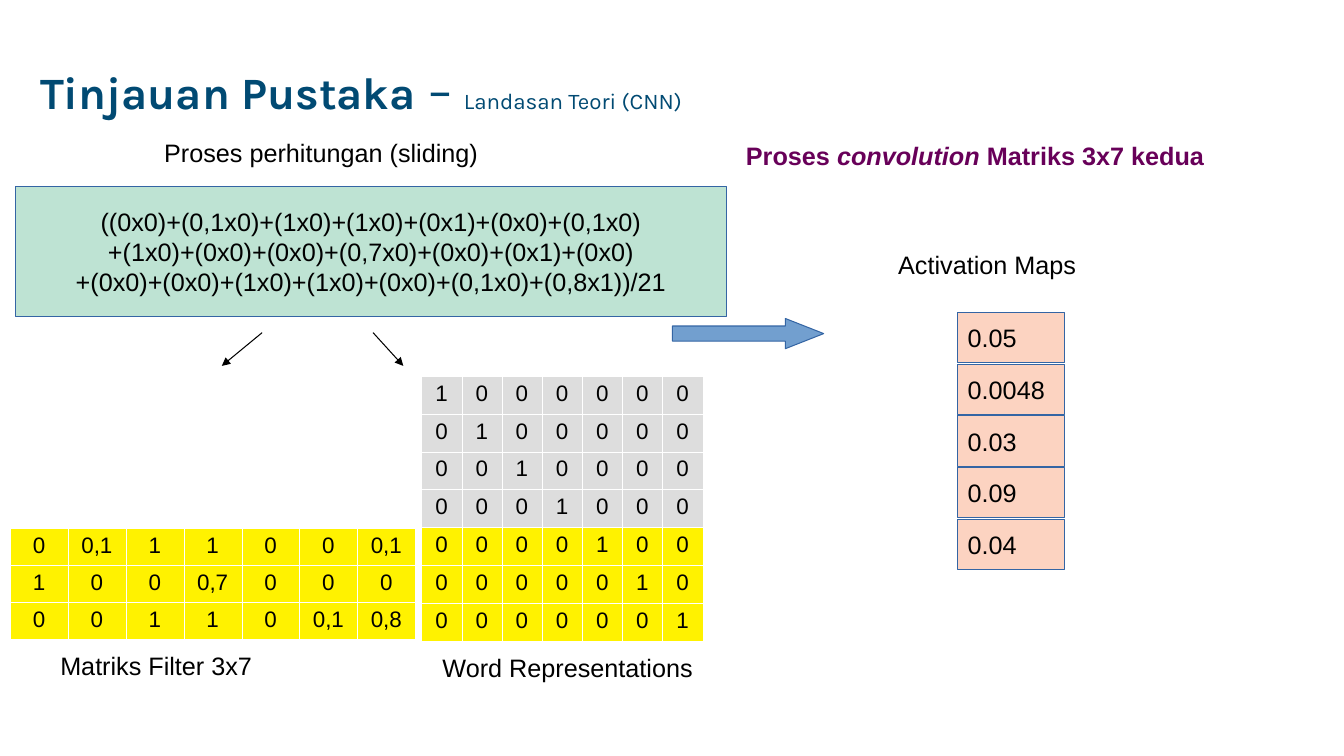
"""Build the slide on the second 3x7 convolution step of a CNN."""
from dataclasses import dataclass
from typing import Optional

from lxml.etree import SubElement
from pptx import Presentation
from pptx.dml.color import RGBColor
from pptx.enum.shapes import MSO_CONNECTOR as Connector, MSO_SHAPE as Preset
from pptx.enum.text import MSO_ANCHOR as Anchor, PP_ALIGN as Align
from pptx.oxml.ns import qn
from pptx.util import Inches, Pt

COLORS = {
    "title": "014A73", "heading": "680059", "black": "000000", "white": "FFFFFF",
    "gray": "DDDDDD", "yellow": "FFF200", "mint": "BEE3D3", "peach": "FCD3C1",
    "arrow": "729FCF", "outline": "3465A4",
}


@dataclass
class TextRun:
    text: str
    size: Optional[float] = None
    bold: Optional[bool] = None
    italic: Optional[bool] = None


@dataclass
class Label:
    runs: list[TextRun]
    left: float
    top: float
    width: float
    height: float = 0.38
    font: str = "Arial"
    color: str = "black"
    anchor: Anchor = Anchor.TOP
    line_spacing: Optional[float] = None


@dataclass
class Box:
    lines: list[str]
    left: float
    top: float
    width: float
    height: float
    fill: str
    preset: Preset = Preset.RECTANGLE
    align: Align = Align.LEFT


@dataclass
class Matrix:
    rows: list[list[str]]
    left: float
    top: float
    width: float
    height: float
    gray_rows: int = 0


@dataclass
class Pointer:
    start: tuple[float, float]
    end: tuple[float, float]


def rgb(name: str) -> RGBColor:
    return RGBColor.from_string(COLORS[name])


def style_paragraph(paragraph, size: float, font: str = "Arial", color: str = "black",
                    align: Align = Align.LEFT) -> None:
    paragraph.alignment = align
    paragraph.font.size = Pt(size)
    paragraph.font.name = font
    paragraph.font.color.rgb = rgb(color)


def draw_label(slide, label: Label) -> None:
    shape = slide.shapes.add_textbox(*map(Inches, (label.left, label.top, label.width, label.height)))
    frame = shape.text_frame
    frame.word_wrap = True
    frame.vertical_anchor = label.anchor
    paragraph = frame.paragraphs[0]
    style_paragraph(paragraph, 18, label.font, label.color)
    if label.line_spacing:
        paragraph.line_spacing = label.line_spacing
    for item in label.runs:
        run = paragraph.add_run()
        run.text = item.text
        run.font.bold = item.bold
        run.font.italic = item.italic
        if item.size:
            run.font.size = Pt(item.size)


def draw_box(slide, box: Box):
    shape = slide.shapes.add_shape(box.preset, *map(Inches, (box.left, box.top, box.width, box.height)))
    shape.shadow.inherit = False
    shape.fill.solid()
    shape.fill.fore_color.rgb = rgb(box.fill)
    shape.line.color.rgb = rgb("outline")
    shape.line.width = Pt(0.75)
    frame = shape.text_frame
    frame.word_wrap = True
    frame.vertical_anchor = Anchor.MIDDLE
    for index, line in enumerate(box.lines):
        paragraph = frame.add_paragraph() if index else frame.paragraphs[0]
        paragraph.text = line
        style_paragraph(paragraph, 18, align=box.align)
    return shape


def draw_matrix(slide, matrix: Matrix) -> None:
    row_count, column_count = len(matrix.rows), len(matrix.rows[0])
    position = map(Inches, (matrix.left, matrix.top, matrix.width, matrix.height))
    table = slide.shapes.add_table(row_count, column_count, *position).table
    table.first_row = table.horz_banding = False
    for row_index, values in enumerate(matrix.rows):
        for column_index, value in enumerate(values):
            cell = table.cell(row_index, column_index)
            cell.text = value
            style_paragraph(cell.text_frame.paragraphs[0], 16, align=Align.CENTER)
            properties = cell._tc.get_or_add_tcPr()
            for side in ("lnL", "lnR", "lnT", "lnB"):
                border = SubElement(properties, qn(f"a:{side}"), w=str(Pt(0.06)))
                border_fill = SubElement(border, qn("a:solidFill"))
                SubElement(border_fill, qn("a:srgbClr"), val=COLORS["white"])
            cell.fill.solid()
            cell.fill.fore_color.rgb = rgb("gray" if row_index < matrix.gray_rows else "yellow")


def draw_pointer(slide, pointer: Pointer) -> None:
    connector = slide.shapes.add_connector(
        Connector.STRAIGHT, *map(Inches, (*pointer.start, *pointer.end)))
    connector.line.color.rgb = rgb("black")
    connector.line.width = Pt(0.75)
    SubElement(connector.line._get_or_add_ln(), qn("a:tailEnd"), type="triangle")
    SubElement(connector._element.spPr, qn("a:effectLst"))


LABELS = [
    Label([TextRun("Tinjauan Pustaka", 32, True), TextRun(" – ", 36), TextRun("Landasan Teori (CNN)", 16)],
          0.3, 0.2, 7.5, 1.45, "Karla", "title", Anchor.MIDDLE, 0.9),
    Label([TextRun("Matriks Filter 3x7")], 0.5, 6.4, 2.4),
    Label([TextRun("Word Representations")], 4.29, 6.42, 3.21),
    Label([TextRun("Proses perhitungan (sliding)")], 1.53, 1.31, 3.95),
    Label([TextRun("Activation Maps")], 8.81, 2.42, 2.19),
    Label([TextRun("Proses ", bold=True), TextRun("convolution", bold=True, italic=True),
           TextRun(" Matriks 3x7 kedua", bold=True)], 7.3, 1.34, 5.69, 0.66, color="heading"),
]
FORMULA = Box([
    "((0x0)+(0,1x0)+(1x0)+(1x0)+(0x1)+(0x0)+(0,1x0)",
    "+(1x0)+(0x0)+(0x0)+(0,7x0)+(0x0)+(0x1)+(0x0)",
    "+(0x0)+(0x0)+(1x0)+(1x0)+(0x0)+(0,1x0)+(0,8x1))/21",
], 0.15, 1.85, 7.06, 1.29, "mint", align=Align.CENTER)
ACTIVATIONS = [
    Box([value], 9.5, 3.1 + index * 2.05 / 4, 1.06, 0.5, "peach")
    for index, value in enumerate(("0.05", "0.0048", "0.03", "0.09", "0.04"))
]
RESULT_ARROW = Box([], 6.67, 3.16, 1.5, 0.3, "arrow", Preset.RIGHT_ARROW)
IDENTITY = [["1" if row == column else "0" for column in range(7)] for row in range(7)]
FILTER = [row.split() for row in ("0 0,1 1 1 0 0 0,1", "1 0 0 0,7 0 0 0", "0 0 1 1 0 0,1 0,8")]
MATRICES = [
    Matrix(IDENTITY, 4.18, 3.73, 2.79, 2.63, gray_rows=4),
    Matrix(FILTER, 0.1, 5.24, 4.02, 1.07),
]
POINTERS = [Pointer((2.6, 3.3), (2.2, 3.63)), Pointer((3.7, 3.3), (4, 3.63))]


def main() -> None:
    presentation = Presentation()
    presentation.slide_width, presentation.slide_height = Inches(13.33), Inches(7.5)
    slide = presentation.slides.add_slide(presentation.slide_layouts[6])
    for label in LABELS:
        draw_label(slide, label)
    for matrix in MATRICES:
        draw_matrix(slide, matrix)
    for box in (FORMULA, *ACTIVATIONS):
        draw_box(slide, box)
    arrow = draw_box(slide, RESULT_ARROW)
    arrow.adjustments[1] = 1.27
    for pointer in POINTERS:
        draw_pointer(slide, pointer)
    presentation.save("out.pptx")


if __name__ == "__main__":
    main()
